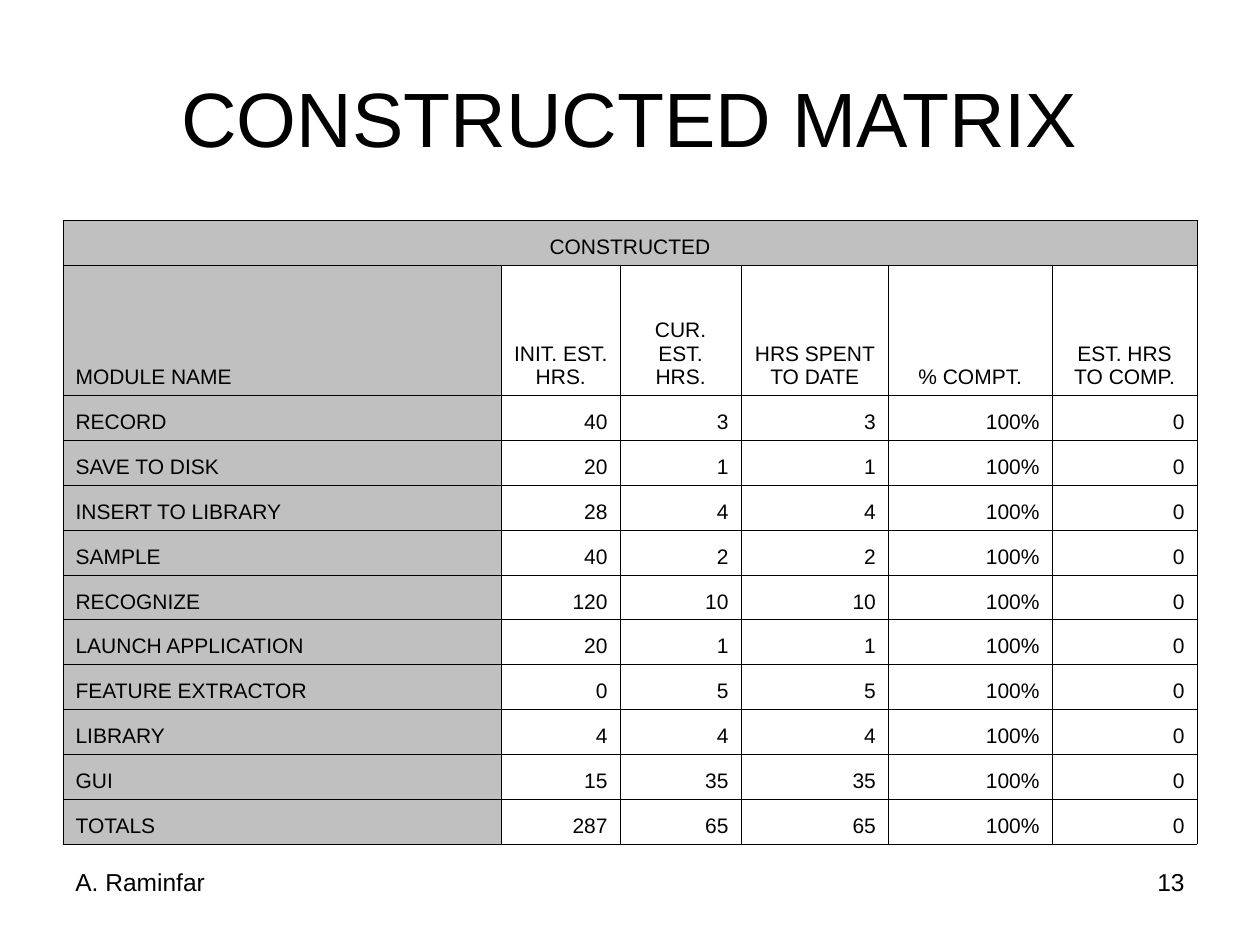
import pptx
import pptx.util
import pptx.dml.color
import pptx.enum.text
import pptx.oxml
import pptx.oxml.ns

Cm = pptx.util.Cm
Pt = pptx.util.Pt
RGBColor = pptx.dml.color.RGBColor
Align = pptx.enum.text.PP_ALIGN
Anchor = pptx.enum.text.MSO_ANCHOR

# Content
TITLE = "CONSTRUCTED MATRIX"
BAND = "CONSTRUCTED"
HEADS = ["MODULE NAME", "INIT. EST. HRS.", "CUR. EST. HRS.",
         "HRS SPENT TO DATE", "% COMPT.", "EST. HRS TO COMP."]
ROWS = [
    ("RECORD", 40, 3, 3, "100%", 0),
    ("SAVE TO DISK", 20, 1, 1, "100%", 0),
    ("INSERT TO LIBRARY", 28, 4, 4, "100%", 0),
    ("SAMPLE", 40, 2, 2, "100%", 0),
    ("RECOGNIZE", 120, 10, 10, "100%", 0),
    ("LAUNCH APPLICATION", 20, 1, 1, "100%", 0),
    ("FEATURE EXTRACTOR", 0, 5, 5, "100%", 0),
    ("LIBRARY", 4, 4, 4, "100%", 0),
    ("GUI", 15, 35, 35, "100%", 0),
    ("TOTALS", 287, 65, 65, "100%", 0),
]
AUTHOR = "A. Raminfar"
NUMBER = "13"

# Look and layout, lengths in cm
FONT = "Arial"
BLACK = RGBColor(0x00, 0x00, 0x00)
GREY = RGBColor(0xC0, 0xC0, 0xC0)
LEFT, WIDTH = 1.27, 22.86
COLS = [8.84, 2.39, 2.44, 2.97, 3.3, 2.92]
TOP, HEIGHT, HEAD = 4.45, 12.57, 2.62
FOOT, FOOT_W, FOOT_H = 17.35, 5.92, 1.32
RULE = 0.45


def write(frame, text, size=12, align=Align.LEFT):
    para = frame.paragraphs[0]
    para.alignment = align
    run = para.add_run()
    run.text = str(text)
    run.font.name = FONT
    run.font.size = Pt(size)
    run.font.color.rgb = BLACK


def border(cell):
    props = cell._tc.get_or_add_tcPr()
    for side in ("lnL", "lnR", "lnT", "lnB"):
        props.append(pptx.oxml.parse_xml(
            f'<a:{side} {pptx.oxml.ns.nsdecls("a")} w="{Pt(RULE)}">'
            f'<a:solidFill><a:srgbClr val="{BLACK}"/></a:solidFill></a:{side}>'))


def draw_table(slide):
    grid = [[BAND] + [""] * (len(COLS) - 1), HEADS, *ROWS]
    table = slide.shapes.add_table(
        len(grid), len(COLS), Cm(LEFT), Cm(TOP), Cm(WIDTH), Cm(HEIGHT)).table
    for col, width in zip(table.columns, COLS):
        col.width = Cm(width)
    plain = (HEIGHT - HEAD) / (len(grid) - 1)
    for r, values in enumerate(grid):
        table.rows[r].height = Cm(HEAD if r == 1 else plain)
        for c, value in enumerate(values):
            cell = table.cell(r, c)
            cell.vertical_anchor = Anchor.BOTTOM
            border(cell)
            if r == 0 or c == 0:
                cell.fill.solid()
                cell.fill.fore_color.rgb = GREY
            else:
                cell.fill.background()
            if r == 0:
                align = Align.CENTER
            elif c == 0:
                align = Align.LEFT
            else:
                align = Align.CENTER if r == 1 else Align.RIGHT
            if value != "":
                write(cell.text_frame, value, align=align)
    table.cell(0, 0).merge(table.cell(0, len(COLS) - 1))


def main():
    deck = pptx.Presentation()
    deck.slide_width, deck.slide_height = Cm(25.4), Cm(19.05)
    slide = deck.slides.add_slide(deck.slide_layouts[5])

    # Title
    title = slide.shapes.title
    title.left, title.top = Cm(LEFT), Cm(0.76)
    title.width, title.height = Cm(WIDTH), Cm(3.18)
    title.text_frame.vertical_anchor = Anchor.MIDDLE
    write(title.text_frame, TITLE, size=44, align=Align.CENTER)

    draw_table(slide)

    # Footer
    right = LEFT + WIDTH - FOOT_W
    for text, left, align in ((NUMBER, right, Align.RIGHT),
                              (AUTHOR, LEFT, Align.LEFT)):
        box = slide.shapes.add_textbox(
            Cm(left), Cm(FOOT), Cm(FOOT_W), Cm(FOOT_H))
        box.text_frame.word_wrap = True
        write(box.text_frame, text, size=14, align=align)

    deck.save("out.pptx")


if __name__ == "__main__":
    main()
